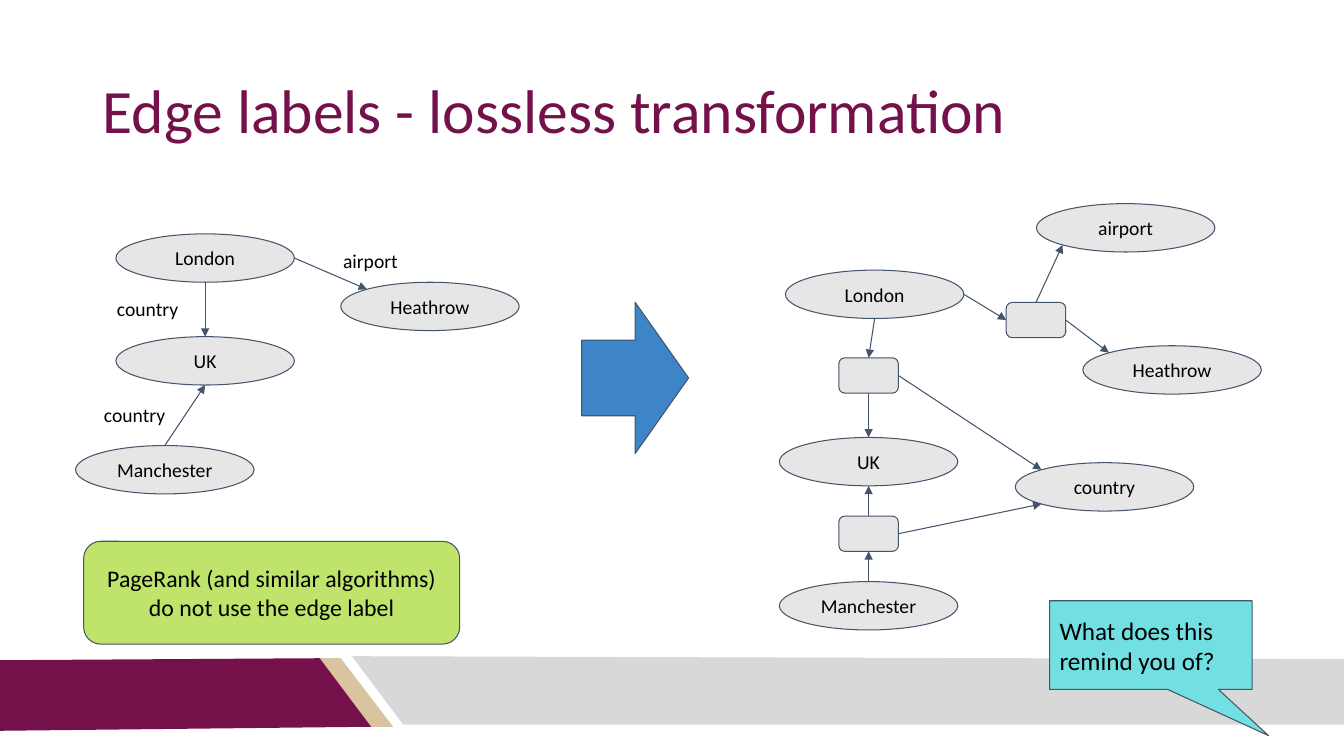
import dataclasses
import math

import lxml.etree
import pptx
import pptx.dml.color
import pptx.enum.shapes
import pptx.enum.text
import pptx.oxml.ns
import pptx.util

SHAPES = pptx.enum.shapes.MSO_SHAPE
ALIGN = pptx.enum.text.PP_ALIGN
ANCHOR = pptx.enum.text.MSO_ANCHOR
qn = pptx.oxml.ns.qn

EMU_PER_PX = 9144  # 100 px to the inch
NODE_SIZE = (177, 48)
RELAY_SIZE = (59, 35)

# Connection sites: horizontal and vertical fraction, index on an ellipse, index on a box
DIAGONAL = (1 - math.sqrt(0.5)) / 2
SITES = {
    "top": (0.5, 0, 0, 0),
    "top left": (DIAGONAL, DIAGONAL, 1, None),
    "left": (0, 0.5, 2, 1),
    "bottom left": (DIAGONAL, 1 - DIAGONAL, 3, None),
    "bottom": (0.5, 1, 4, 2),
    "right": (1, 0.5, 6, 3),
}


@dataclasses.dataclass(frozen=True)
class Theme:
    font: str = "Calibri"
    plum: str = "75114A"
    sand: str = "D9C49F"
    band: str = "D8D8D8"
    node: str = "E7E6E6"
    outline: str = "44546A"
    remark: str = "B0DD46"
    arrow: str = "3D85C6"
    question: str = "72E0E2"
    ink: str = "000000"
    title_size: int = 44
    node_size: int = 14
    remark_size: int = 17
    question_size: int = 18
    line_width: float = 0.75


THEME = Theme()


def px(*lengths):
    return [pptx.util.Emu(round(length * EMU_PER_PX)) for length in lengths]


def rgb(color):
    return pptx.dml.color.RGBColor.from_string(color)


def write(shape, text, *, size=THEME.node_size, color=THEME.ink, align=ALIGN.CENTER,
          anchor=ANCHOR.MIDDLE, line_spacing=None):
    frame = shape.text_frame
    frame.word_wrap = True
    frame.vertical_anchor = anchor
    frame.margin_left, frame.margin_top, frame.margin_right, frame.margin_bottom = px(10, 10, 10, 10)
    paragraph = frame.paragraphs[0]
    paragraph.text = text
    paragraph.alignment = align
    if line_spacing:
        paragraph.line_spacing = line_spacing
    paragraph.font.name = THEME.font
    paragraph.font.size = pptx.util.Pt(size)
    paragraph.font.color.rgb = rgb(color)


def outline(line):
    line.color.rgb = rgb(THEME.outline)
    line.width = pptx.util.Pt(THEME.line_width)


def add_block(slide, preset, box, fill, *, adjustments=(), opacity=100):
    block = slide.shapes.add_shape(preset, *px(*box))
    block.shadow.inherit = False
    block.fill.solid()
    block.fill.fore_color.rgb = rgb(fill)
    if opacity < 100:
        swatch = block.fill._xPr.find(qn("a:solidFill"))[0]
        lxml.etree.SubElement(swatch, qn("a:alpha"), val=str(opacity * 1000))
    outline(block.line)
    for index, value in enumerate(adjustments):
        block.adjustments[index] = value
    return block


def add_band(slide, points, fill):
    builder = slide.shapes.build_freeform(*points[0], scale=EMU_PER_PX)
    builder.add_line_segments(points[1:], close=True)
    band = builder.convert_to_shape()
    band.shadow.inherit = False
    band.fill.solid()
    band.fill.fore_color.rgb = rgb(fill)
    band.line.fill.background()


def add_node(slide, text, left, top):
    node = add_block(slide, SHAPES.OVAL, (left, top, *NODE_SIZE), THEME.node)
    write(node, text)
    return node


def add_relay(slide, left, top):
    return add_block(slide, SHAPES.ROUNDED_RECTANGLE, (left, top, *RELAY_SIZE), THEME.node)


def add_text(slide, text, box, **text_format):
    text_box = slide.shapes.add_textbox(*px(*box))
    write(text_box, text, **text_format)


def site_point(shape, site):
    across, down = SITES[site][:2]
    return round(shape.left + across * shape.width), round(shape.top + down * shape.height)


def add_edge(slide, source, source_site, target, target_site):
    edge = slide.shapes.add_connector(
        pptx.enum.shapes.MSO_CONNECTOR.STRAIGHT,
        *site_point(source, source_site), *site_point(target, target_site))
    outline(edge.line)
    lxml.etree.SubElement(edge.line._get_or_add_ln(), qn("a:tailEnd"), type="triangle")
    lxml.etree.SubElement(edge._element.spPr, qn("a:effectLst"))
    # Glue both ends to their nodes
    glue = edge._element.find(".//" + qn("p:cNvCxnSpPr"))
    for tag, shape, site in (("a:stCxn", source, source_site), ("a:endCxn", target, target_site)):
        is_oval = shape.auto_shape_type == SHAPES.OVAL
        index = SITES[site][2 if is_oval else 3]
        lxml.etree.SubElement(glue, qn(tag), id=str(shape.shape_id), idx=str(index))


def add_footer(slide):
    add_band(slide, [(316, 653), (338, 653), (390, 721), (367, 721)], THEME.sand)
    add_band(slide, [(-1, 655), (317, 653), (368, 721), (-1, 725)], THEME.plum)
    add_band(slide, [(1337, 719), (400, 719), (349, 651), (1334, 654)], THEME.band)


def add_labelled_graph(slide):
    london = add_node(slide, "London", 115, 232)
    uk = add_node(slide, "UK", 115, 334)
    heathrow = add_node(slide, "Heathrow", 338, 280)
    manchester = add_node(slide, "Manchester", 75, 442)

    add_edge(slide, london, "bottom", uk, "top")
    add_edge(slide, manchester, "top", uk, "bottom")
    add_edge(slide, london, "right", heathrow, "top left")

    for text, box in (("airport", (281, 237, 173, 44)),
                      ("country", (96, 285, 101, 44)),
                      ("country", (83, 390, 101, 44))):
        add_text(slide, text, box, anchor=ANCHOR.TOP)


def add_transformed_graph(slide):
    london = add_node(slide, "London", 779, 268)
    uk = add_node(slide, "UK", 773, 434)
    heathrow = add_node(slide, "Heathrow", 1074, 343)
    manchester = add_node(slide, "Manchester", 773, 577)
    airport = add_node(slide, "airport", 1028, 202)
    country = add_node(slide, "country", 1007, 459)

    london_country = add_relay(slide, 832, 355)
    london_airport = add_relay(slide, 998, 300)
    manchester_country = add_relay(slide, 832, 512)

    add_edge(slide, london, "bottom", london_country, "top")
    add_edge(slide, london_country, "bottom", uk, "top")
    add_edge(slide, london_country, "right", country, "top left")
    add_edge(slide, manchester_country, "top", uk, "bottom")
    add_edge(slide, manchester, "top", manchester_country, "bottom")
    add_edge(slide, manchester_country, "right", country, "bottom left")
    add_edge(slide, london, "right", london_airport, "left")
    add_edge(slide, london_airport, "right", heathrow, "top left")
    add_edge(slide, london_airport, "top", airport, "bottom left")


def main():
    deck = pptx.Presentation()
    deck.slide_width, deck.slide_height = px(1333, 750)
    slide = deck.slides.add_slide(deck.slide_layouts[6])

    # Footer bands and title
    add_footer(slide)
    add_text(slide, "Edge labels - lossless transformation", (92, 40, 1150, 145),
             size=THEME.title_size, color=THEME.plum, align=ALIGN.LEFT, line_spacing=0.9)

    # Graph with edge labels, and the remark below it
    add_labelled_graph(slide)
    remark = add_block(slide, SHAPES.ROUNDED_RECTANGLE, (83, 537, 373, 102), THEME.remark,
                       opacity=80)
    write(remark, "PageRank (and similar algorithms) do not use the edge label",
          size=THEME.remark_size)

    # Transformation into a graph without edge labels
    add_block(slide, SHAPES.RIGHT_ARROW, (577, 300, 106, 150), THEME.arrow)
    add_transformed_graph(slide)

    # Question to the audience
    question = add_block(slide, SHAPES.ROUNDED_RECTANGULAR_CALLOUT, (1041, 596, 201, 88),
                         THEME.question, adjustments=(0.58, 1.02, 0))
    write(question, "What does this remind you of?", size=THEME.question_size, align=ALIGN.LEFT)

    deck.save("out.pptx")


if __name__ == "__main__":
    main()
